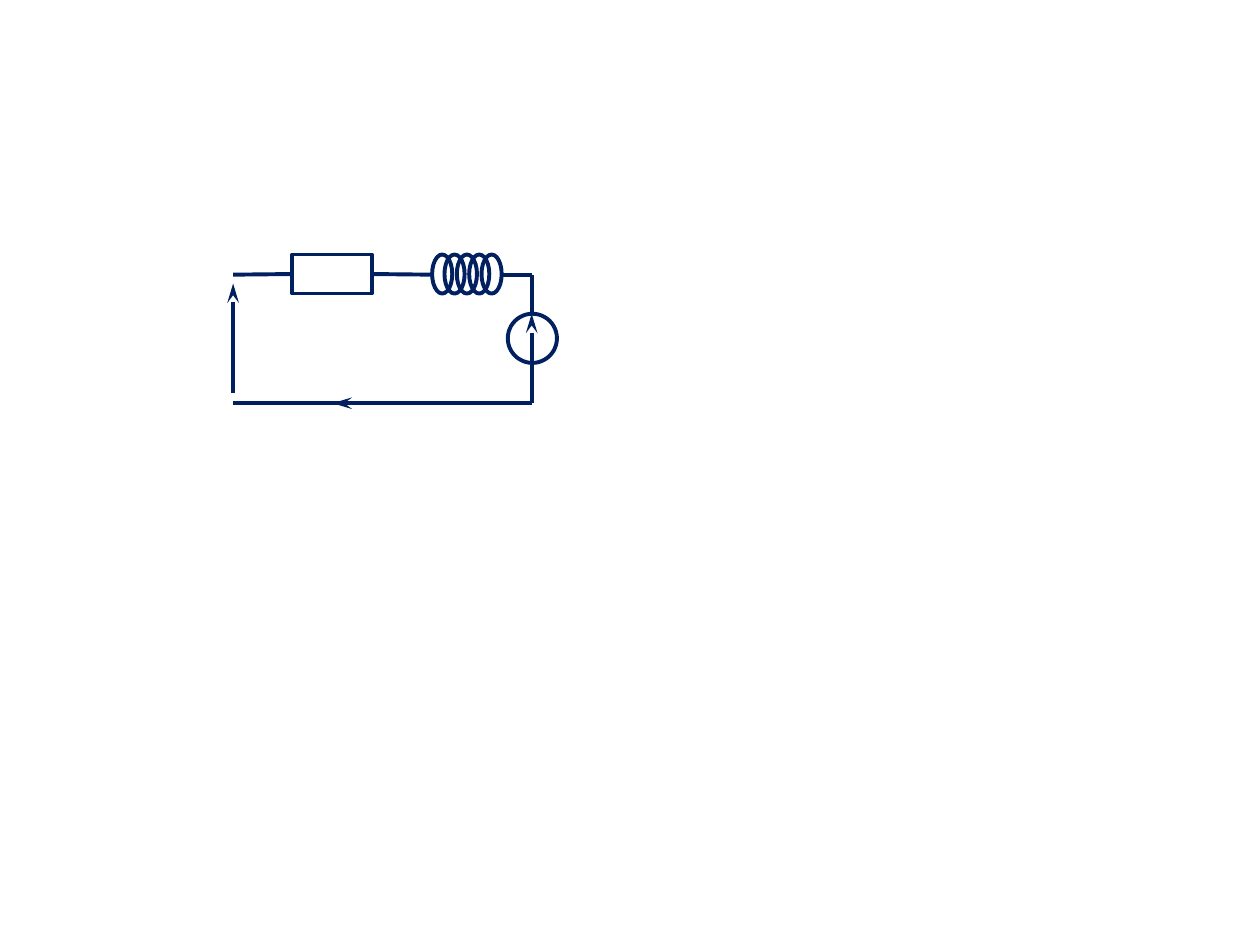
from pptx import Presentation
from pptx.dml.color import RGBColor
from pptx.enum.shapes import MSO_CONNECTOR, MSO_SHAPE
from pptx.oxml.ns import qn
from pptx.util import Inches, Pt
from lxml import etree

RECT = MSO_SHAPE.RECTANGLE
OVAL = MSO_SHAPE.OVAL
STRAIGHT = MSO_CONNECTOR.STRAIGHT
LEFT, RIGHT = 1, 3
STEALTH = {"type": "stealth", "w": "med", "len": "lg"}


def color(code):
    return RGBColor.from_string(code)


class Sketch:
    ink = "002060"
    form = {"width": Pt(2.25)}

    def __init__(self, slide):
        self.slide = slide

    def stroke(self, item):
        item.line.color.rgb = color(self.ink)
        for name, value in self.form.items():
            setattr(item.line, name, value)

    def shape(self, kind, left, top, width, height):
        item = self.slide.shapes.add_shape(
            kind, Inches(left), Inches(top), Inches(width), Inches(height))
        item.shadow.inherit = False
        item.fill.background()
        self.stroke(item)
        return item

    def wire(self, x1, y1, x2, y2):
        item = self.slide.shapes.add_connector(
            STRAIGHT, Inches(x1), Inches(y1), Inches(x2), Inches(y2))
        self.stroke(item)
        etree.SubElement(item._element.spPr, qn("a:effectLst"))
        return item

    def arrow(self, x1, y1, x2, y2):
        item = self.wire(x1, y1, x2, y2)
        etree.SubElement(item.line._get_or_add_ln(), qn("a:tailEnd"), STEALTH)
        return item


def main():
    deck = Presentation()
    deck.slide_width, deck.slide_height = Inches(10), Inches(7.5)
    art = Sketch(deck.slides.add_slide(deck.slide_layouts[6]))

    # Outline of the circuit
    left, right = 1.85, 4.22
    top, base = 2.18, 3.2
    high = 0.31
    roof = 2.02

    # Resistor with its two leads
    box = art.shape(RECT, 2.32, roof, 0.63, high)
    art.wire(left, top, 2.32, top).end_connect(box, LEFT)
    art.wire(2.95, top, 3.43, top).begin_connect(box, RIGHT)

    # Coil of overlapping turns
    turns, pitch = 5, 0.098
    for turn in range(turns):
        art.shape(OVAL, 3.43 + turn * pitch, roof, 0.16, high)
    art.wire(3.98, top, right, top)

    # Voltage source in the right branch
    size, crown = 0.39, 2.49
    foot = crown + size
    art.shape(OVAL, 4.03, crown, size, size)
    art.wire(right, top, right, crown)
    art.arrow(right, foot, right, crown)
    art.wire(right, foot, right, base)

    # Return wire, current arrow and terminal voltage
    art.wire(left, base, right, base)
    art.arrow(3.19, base, 2.64, base)
    art.arrow(left, 3.12, left, 2.25)

    deck.save("out.pptx")


if __name__ == "__main__":
    main()
